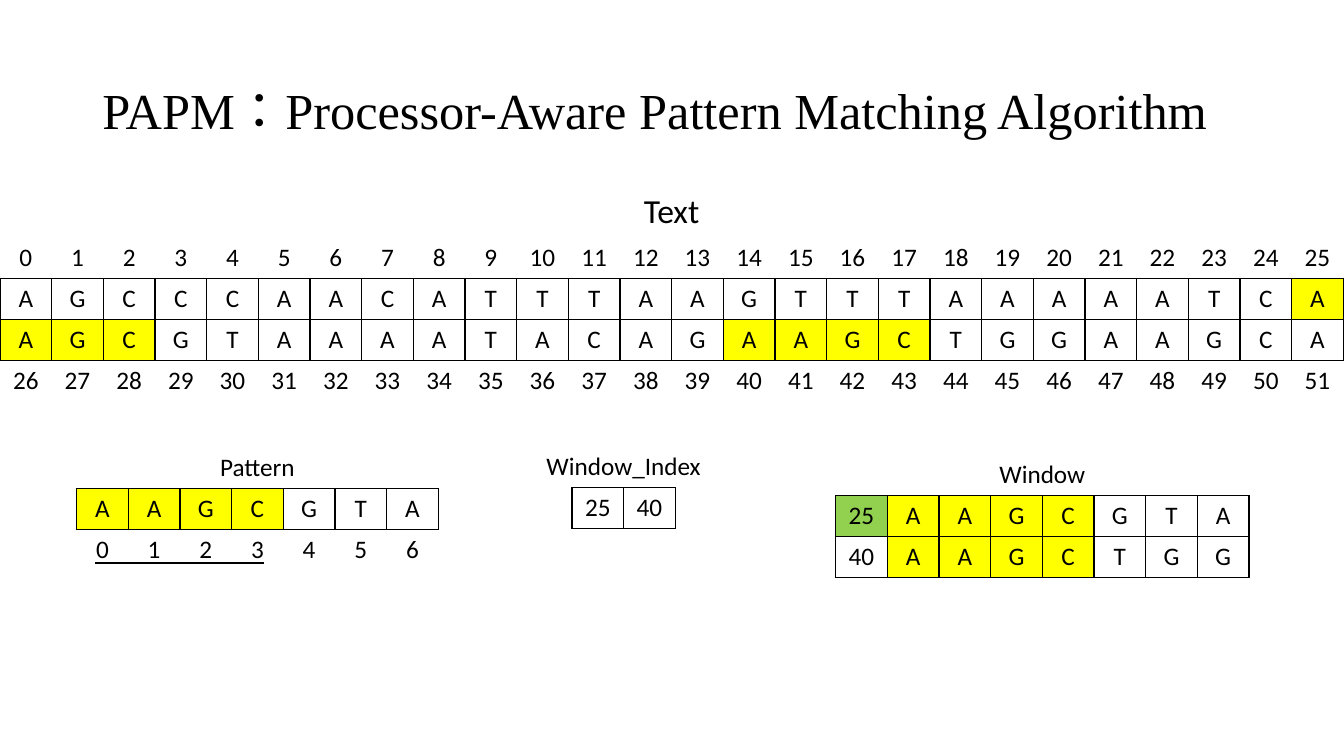
import pptx
import pptx.dml.color
import pptx.enum.lang
import pptx.enum.shapes
import pptx.enum.text
import pptx.oxml
import pptx.oxml.ns
import pptx.util
from pptx.util import Cm

BLACK = "000000"
FILLS = {"w": "FFFFFF", "y": "FFFF00", "g": "92D050"}
NO_GRID_STYLE = "{2D5ABB26-0587-4C30-8999-92F81FD0307C}"
COL_W, ROW_H = 33.86 / 26, 1.03
CENTER = pptx.enum.text.PP_ALIGN.CENTER
NS = pptx.oxml.ns.nsdecls("a")


def rgb(value):
    return pptx.dml.color.RGBColor.from_string(value)


def write(tf, text, size=18, font="Calibri", color=BLACK, align=CENTER, spacing=None, lang=None):
    p = tf.paragraphs[0]
    p.alignment = align
    p.line_spacing = spacing
    r = p.add_run()
    r.text = text
    r.font.size = pptx.util.Pt(size)
    r.font.name = font
    r.font.color.rgb = rgb(color)
    r.font.language_id = lang


prs = pptx.Presentation()
prs.slide_width, prs.slide_height = Cm(33.87), Cm(19.05)
s = prs.slides.add_slide(prs.slide_layouts[6])

tf = s.shapes.add_textbox(Cm(2.33), Cm(1.01), Cm(29.21), Cm(3.68)).text_frame
tf.word_wrap = True
tf.vertical_anchor = pptx.enum.text.MSO_ANCHOR.MIDDLE
write(tf, "PAPM：Processor-Aware Pattern Matching Algorithm", size=36,
      font="Times New Roman", align=pptx.enum.text.PP_ALIGN.LEFT, spacing=0.9,
      lang=pptx.enum.lang.MSO_LANGUAGE_ID.TRADITIONAL_CHINESE)

tables = [
    ("Text", 24, 0, 4.7, 1.29, [
        (range(26), "." * 26),
        ("AGCCCAACATTTAAGTTTAAAAATCA", "w" * 25 + "y"),
        ("AGCGTAAAATACAGAAGCTGGAAGCA", "yyy" + "w" * 11 + "yyyy" + "w" * 8),
        (range(26, 52), "." * 26),
    ]),
    ("Pattern", 18, 1.93, 11.28, ROW_H, [
        ("AAGCGTA", "yyyywww"),
        (range(7), "." * 7),
    ]),
    ("Window_Index", 18, 11.81, 11.26, ROW_H, [
        (["", "", 25, 40, "", ""], "..ww.."),
    ]),
    ("Window", 18, 21.06, 11.46, ROW_H, [
        ([25, *"AAGCGTA"], "gyyyywww"),
        ([40, *"AAGCTGG"], "wyyyywww"),
    ]),
]

for heading, size, left, top, heading_h, rows in tables:
    n_cols = len(rows[0][1])
    sp = s.shapes.add_table(len(rows) + 1, n_cols, Cm(left), Cm(top), Cm(n_cols * COL_W),
                            Cm(heading_h + len(rows) * ROW_H))
    table = sp.table
    table.first_row = table.horz_banding = False
    table._tbl.tblPr.find(pptx.oxml.ns.qn("a:tableStyleId")).text = NO_GRID_STYLE
    for col in table.columns:
        col.width = Cm(COL_W)
    for row in table.rows:
        row.height = Cm(ROW_H)
    table.rows[0].height = Cm(heading_h)
    table.cell(0, 0).merge(table.cell(0, n_cols - 1))
    table.cell(0, 0).fill.background()
    write(table.cell(0, 0).text_frame, heading, size=size)

    for i, (values, marks) in enumerate(rows, 1):
        for j, (value, mark) in enumerate(zip(values, marks)):
            cell = table.cell(i, j)
            if value != "":
                write(cell.text_frame, str(value))
            if mark == ".":
                cell.fill.background()
                continue
            tc_pr = cell._tc.get_or_add_tcPr()
            for side in "LRTB":
                tc_pr.append(pptx.oxml.parse_xml(
                    f'<a:ln{side} {NS} w="12700"><a:solidFill><a:srgbClr val="{BLACK}"/>'
                    f'</a:solidFill></a:ln{side}>'))
            cell.fill.solid()
            cell.fill.fore_color.rgb = rgb(FILLS[mark])

underline = s.shapes.add_connector(pptx.enum.shapes.MSO_CONNECTOR.STRAIGHT,
                                   Cm(2.39), Cm(14.19), Cm(6.65), Cm(14.19))
underline.line.color.rgb = rgb(BLACK)
underline.line.width = pptx.util.Pt(1.5)
underline._element.spPr.append(pptx.oxml.parse_xml(f"<a:effectLst {NS}/>"))

prs.save("out.pptx")
